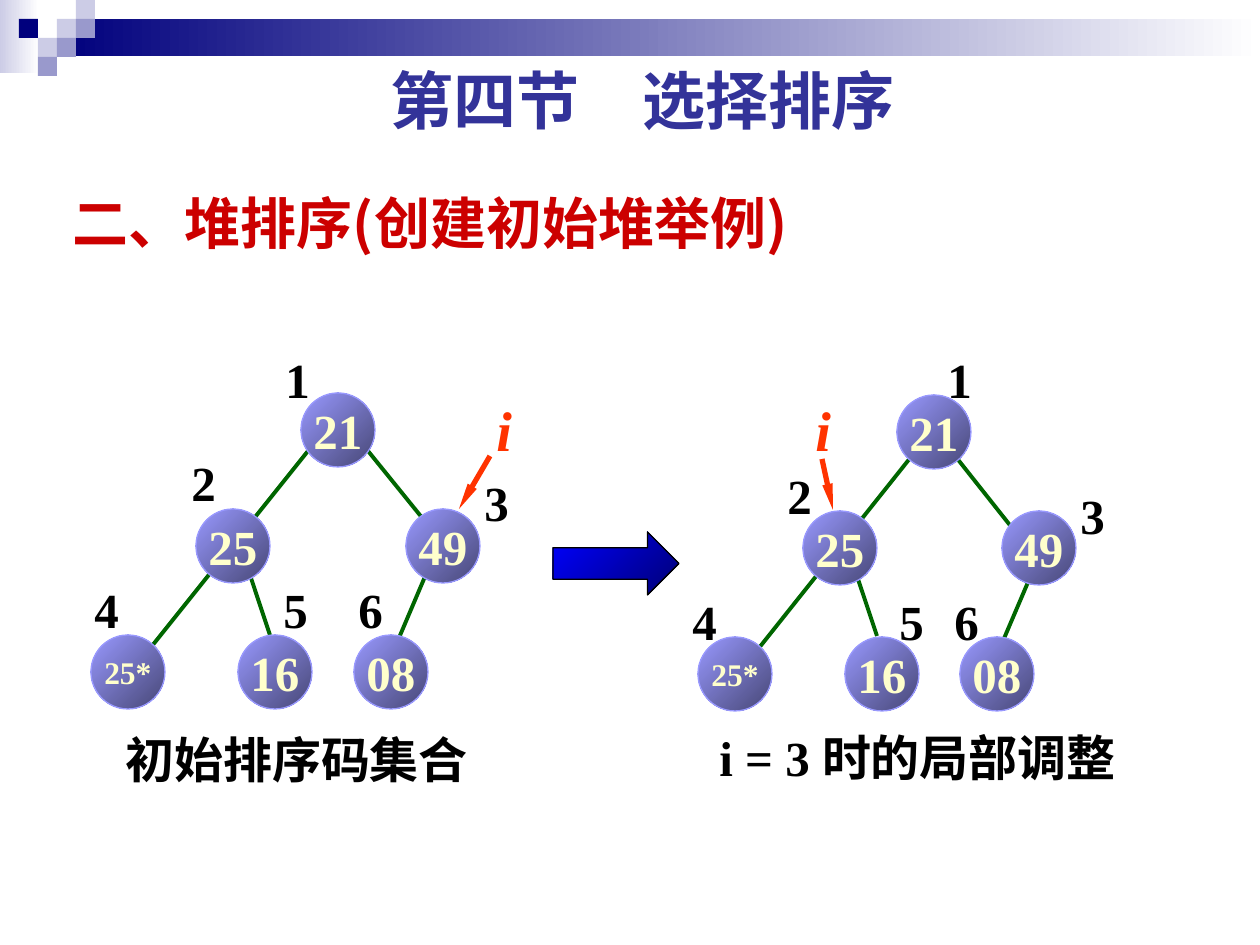
from dataclasses import dataclass

from lxml import etree
from pptx import Presentation
from pptx.dml.color import RGBColor
from pptx.enum import shapes, text
from pptx.oxml.ns import qn
from pptx.util import Emu, Pt

SCALE = 914400 / 126  # EMU in one px


@dataclass(frozen=True)
class Theme:
    navy: str = "00007D"
    mid: str = "9999CC"
    pale: str = "CCCCE6"
    white: str = "FFFFFF"
    black: str = "000000"
    head: str = "333399"
    topic: str = "CC0000"
    edge: str = "006600"
    mark: str = "FF3300"
    value: str = "FFFFCC"
    rim: str = "9999FF"
    ball: tuple = ("9999FF", "474776")
    step: tuple = ("0000FF", "000076")
    serif: str = "Times New Roman"
    sans: str = "Cabin"
    han: str = "Noto Sans CJK SC"
    large: int = 36
    big: int = 32
    base: int = 28
    small: int = 18


T = Theme()
SIDE = 74  # node diameter
ROWS = (0, 116, 242)  # node rows below the root's top
NODES = (("21", 0), ("25", 1), ("49", 1), ("25*", 2), ("16", 2), ("08", 2))

# Places of each tree; nodes and marks are in heap order
TREES = (
    dict(
        top=393,
        cols=(301, 196, 406, 91, 238, 354),
        marks=((273, 343), (179, 446), (472, 466), (82, 573), (271, 573), (346, 573)),
        edges=((427, 572, 396, 645), (249, 572, 270, 635),
               (364, 446, 449, 551), (312, 446, 144, 656)),
        hand=(490, 456, 459, 509),
        name=(484, 389),
        note=("初始排序码集合", (113, 723, 368, 72)),
    ),
    dict(
        top=395,
        cols=(897, 803, 1002, 698, 845, 960),
        marks=((935, 343), (775, 459), (1068, 479), (680, 585), (887, 585), (942, 585)),
        edges=((1032, 573, 1000, 648), (856, 573, 877, 636),
               (948, 447, 1032, 553), (919, 447, 751, 658)),
        hand=(822, 459, 833, 510),
        name=(803, 389),
        note=("i = 3 时的局部调整", (707, 721, 433, 72)),
    ),
)


def px(*nums):
    return [Emu(round(n * SCALE)) for n in nums]


def rgb(code):
    return RGBColor.from_string(code)


def write(shape, words, size, color, font=T.serif, align="LEFT", wrap=False,
          anchor="TOP", italic=False):
    frame = shape.text_frame
    frame.word_wrap = wrap
    frame.auto_size = text.MSO_AUTO_SIZE.NONE
    frame.vertical_anchor = getattr(text.MSO_ANCHOR, anchor)
    para = frame.paragraphs[0]
    para.alignment = getattr(text.PP_ALIGN, align)
    run = para.add_run()
    run.text = words
    style = dict(name=font, size=Pt(size), bold=True, italic=italic)
    for key, val in style.items():
        setattr(run.font, key, val)
    run.font.color.rgb = rgb(color)
    latin = run.font._element.find(qn("a:latin"))
    east = etree.Element(qn("a:ea"), typeface=T.han)
    latin.addnext(east)


def label(slide, words, box, size=T.base, color=T.black, **style):
    write(slide.shapes.add_textbox(*px(*box)), words, size, color, **style)


def block(slide, kind, box, fill, rim=None, angle=0):
    """Preset shape; a pair of colours makes a gradient."""
    shape = slide.shapes.add_shape(getattr(shapes.MSO_SHAPE, kind), *px(*box))
    shape.shadow.inherit = False
    if isinstance(fill, tuple):
        shape.fill.gradient()
        shape.fill.gradient_angle = angle
        for stop, code in zip(shape.fill.gradient_stops, fill):
            stop.color.rgb = rgb(code)
    else:
        shape.fill.solid()
        shape.fill.fore_color.rgb = rgb(fill)
    if rim:
        shape.line.color.rgb = rgb(rim)
        shape.line.width = Pt(0.75)
    else:
        shape.line.fill.background()
    return shape


def stroke(slide, ends, color, width, arrow=False):
    line = slide.shapes.add_connector(shapes.MSO_CONNECTOR.STRAIGHT, *px(*ends))
    line.line.color.rgb = rgb(color)
    line.line.width = Pt(width)
    if arrow:
        etree.SubElement(line.line._get_or_add_ln(), qn("a:tailEnd"),
                         type="triangle", w="sm", len="lg")
    etree.SubElement(line._element.spPr, qn("a:effectLst"))


def banner(slide):
    block(slide, "RECTANGLE", (0, 0, 39, 73), (T.pale, T.white))
    block(slide, "RECTANGLE", (57, 19, 1203, 37), (T.navy, T.white))
    tile = 19
    tiles = ((3, 1, T.pale), (4, 0, T.pale), (4, 1, T.mid), (2, 2, T.pale),
             (1, 1, T.navy), (3, 2, T.mid), (2, 3, T.mid))
    for col, row, color in tiles:
        block(slide, "RECTANGLE", (col * tile, row * tile, tile, tile), color)


def topic(slide):
    title = slide.shapes.title
    spot = dict(zip(("left", "top", "width", "height"), px(60, 175, 788, 95)))
    for key, val in spot.items():
        setattr(title, key, val)
    write(title, "二、堆排序(创建初始堆举例)", T.big, T.topic, font=T.han,
          wrap=True, anchor="MIDDLE")


def tree(slide, top, cols, marks, edges, hand, name, note):
    for ends in edges:
        stroke(slide, ends, T.edge, 2.25)
    for (value, row), left in zip(NODES, cols):
        ball = block(slide, "OVAL", (left, top + ROWS[row], SIDE, SIDE),
                     T.ball, T.rim, angle=315)
        size = T.small if len(value) > 2 else T.base
        write(ball, value, size, T.value, align="CENTER", anchor="MIDDLE")
    for index, spot in enumerate(marks, 1):
        label(slide, str(index), (*spot, 49, 72))
    # Current index and caption
    stroke(slide, hand, T.mark, 3, arrow=True)
    label(slide, "i", (*name, 40, 81), T.big, T.mark, italic=True)
    label(slide, *note)


def main():
    deck = Presentation()
    deck.slide_width, deck.slide_height = px(1260, 945)
    slide = deck.slides.add_slide(deck.slide_layouts[5])
    banner(slide)
    topic(slide)
    for parts in TREES:
        tree(slide, **parts)
    # Step from the first tree to the second
    block(slide, "RIGHT_ARROW", (553, 532, 126, 63), T.step, T.black, angle=315)
    label(slide, "第四节　选择排序", (59, 55, 1166, 88), T.large, T.head,
          font=T.sans, align="CENTER", wrap=True)
    deck.save("out.pptx")


if __name__ == "__main__":
    main()
